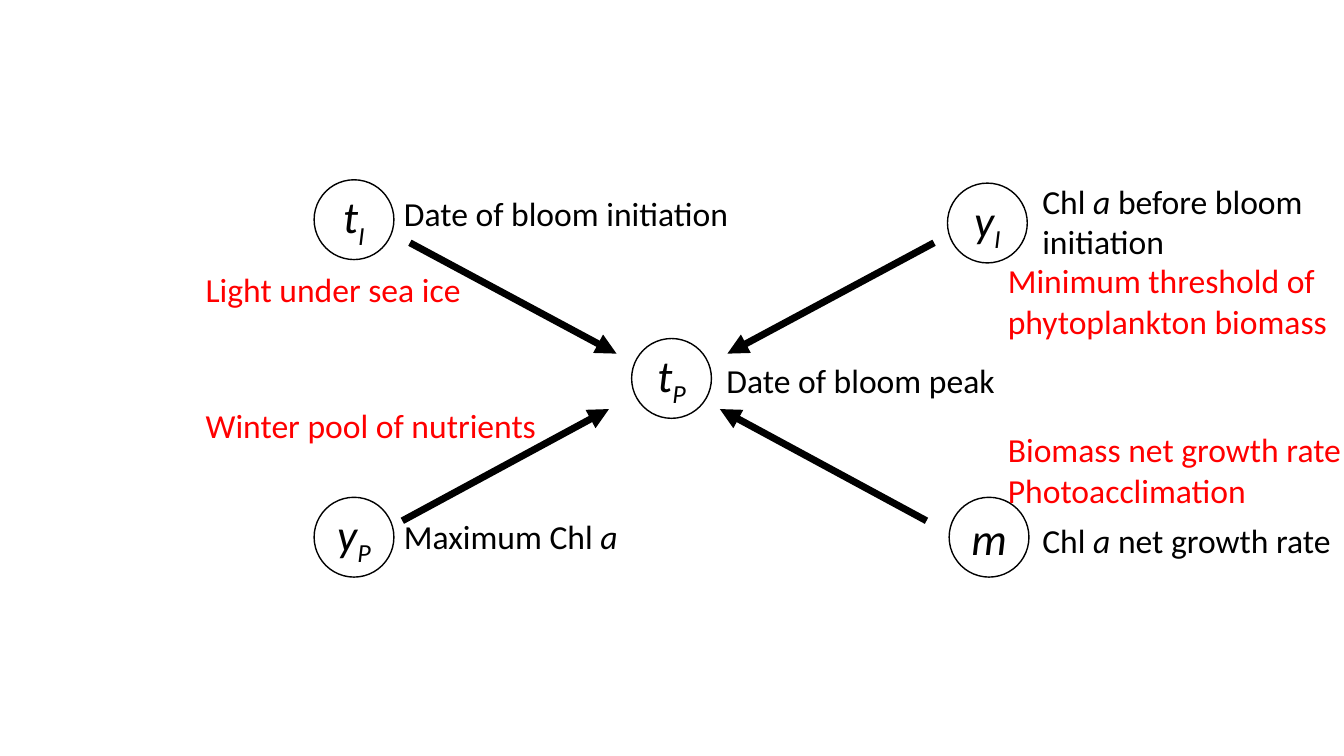
"""Draw the four drivers of the date of the phytoplankton bloom peak."""
from lxml.etree import SubElement
from pptx import Presentation
from pptx.dml.color import RGBColor
from pptx.enum.shapes import MSO_CONNECTOR as Connector, MSO_SHAPE as Shape
from pptx.enum.text import MSO_ANCHOR as Anchor, PP_ALIGN as Align
from pptx.oxml.ns import qn
from pptx.util import Inches, Pt

BLACK = RGBColor(0, 0, 0)
RED = RGBColor(255, 0, 0)

deck = Presentation()
deck.slide_width, deck.slide_height = Inches(13.33), Inches(7.5)
COLUMN, ROW = deck.slide_width / 16, deck.slide_height / 9
slide = deck.slides.add_slide(deck.slide_layouts[6])


def place(*grid):
    """Turn alternating columns and rows into slide lengths."""
    return [round(n * (ROW if i % 2 else COLUMN)) for i, n in enumerate(grid)]


def write(frame, text, size=24, color=BLACK, align=Align.LEFT, wrap=False):
    """Fill a frame; *x* is italic, and _x_ is an italic subscript."""
    frame.word_wrap = wrap
    for i, line in enumerate(text.split("\n")):
        paragraph = frame.add_paragraph() if i else frame.paragraphs[0]
        paragraph.alignment = align
        for j, styled in enumerate(line.split("*")):
            for k, part in enumerate(styled.split("_")):
                if part:
                    run = paragraph.add_run()
                    run.text = part
                    run.font.name, run.font.size = "Calibri", Pt(size)
                    run.font.color.rgb = color
                    run.font.italic = j % 2 == 1
                    if k % 2:
                        run.font._element.set("baseline", "-25000")


DIAMETER = 0.95
variables = [
    ("*t_P_*", 7.52, 4.03),
    ("*t_I_*", 3.74, 2.14),
    ("*y_P_*", 3.74, 5.92),
    ("*y_I_*", 11.28, 2.18),
    ("*m*", 11.3, 5.92),
]
for symbol, left, top in variables:
    circle = slide.shapes.add_shape(Shape.OVAL, *place(left, top, DIAMETER, DIAMETER))
    circle.shadow.inherit = False
    circle.fill.background()
    circle.line.color.rgb, circle.line.width = BLACK, Pt(1)
    circle.text_frame.vertical_anchor = Anchor.MIDDLE
    write(circle.text_frame, symbol, size=32, align=Align.CENTER)

FAR, NEAR = 3.12, 0.66
for middle, start, end in [(8, 2.89, 4.21), (7.91, 6.2, 4.87)]:
    for side in (-1, 1):
        arrow = slide.shapes.add_connector(
            Connector.STRAIGHT,
            *place(middle + side * FAR, start, middle + side * NEAR, end))
        arrow.line.color.rgb, arrow.line.width = BLACK, Pt(5)
        SubElement(arrow.line._get_or_add_ln(), qn("a:tailEnd"), type="triangle")
        SubElement(arrow._element.spPr, qn("a:effectLst"))

LEFT_CAUSE, LEFT_NAME, RIGHT_CAUSE, RIGHT_NAME = 2.33, 4.69, 11.88, 12.29
labels = [
    ("Light under sea ice", LEFT_CAUSE, 3.14, 3.31, RED, False),
    ("Date of bloom initiation", LEFT_NAME, 2.24, 4.14, BLACK, False),
    ("Chl *a* before bloom\ninitiation", RIGHT_NAME, 2.09, 3.37, BLACK, False),
    ("Maximum Chl *a*", LEFT_NAME, 6.08, 2.81, BLACK, False),
    ("Date of bloom peak", 8.53, 4.22, 3.47, BLACK, False),
    ("Chl *a* net growth rate", RIGHT_NAME, 6.13, 3.71, BLACK, False),
    ("Winter pool of nutrients", LEFT_CAUSE, 4.76, 4.21, RED, False),
    ("Minimum threshold of phytoplankton biomass", RIGHT_CAUSE, 3.04, 4.13, RED, True),
    ("Biomass net growth rate\nPhotoacclimation", RIGHT_CAUSE, 5.05, 4.24, RED, False),
]
for text, left, top, width, color, wrap in labels:
    height = 1.09 if wrap or "\n" in text else 0.6
    label = slide.shapes.add_textbox(*place(left, top, width, height))
    write(label.text_frame, text, color=color, wrap=wrap)

deck.save("out.pptx")
